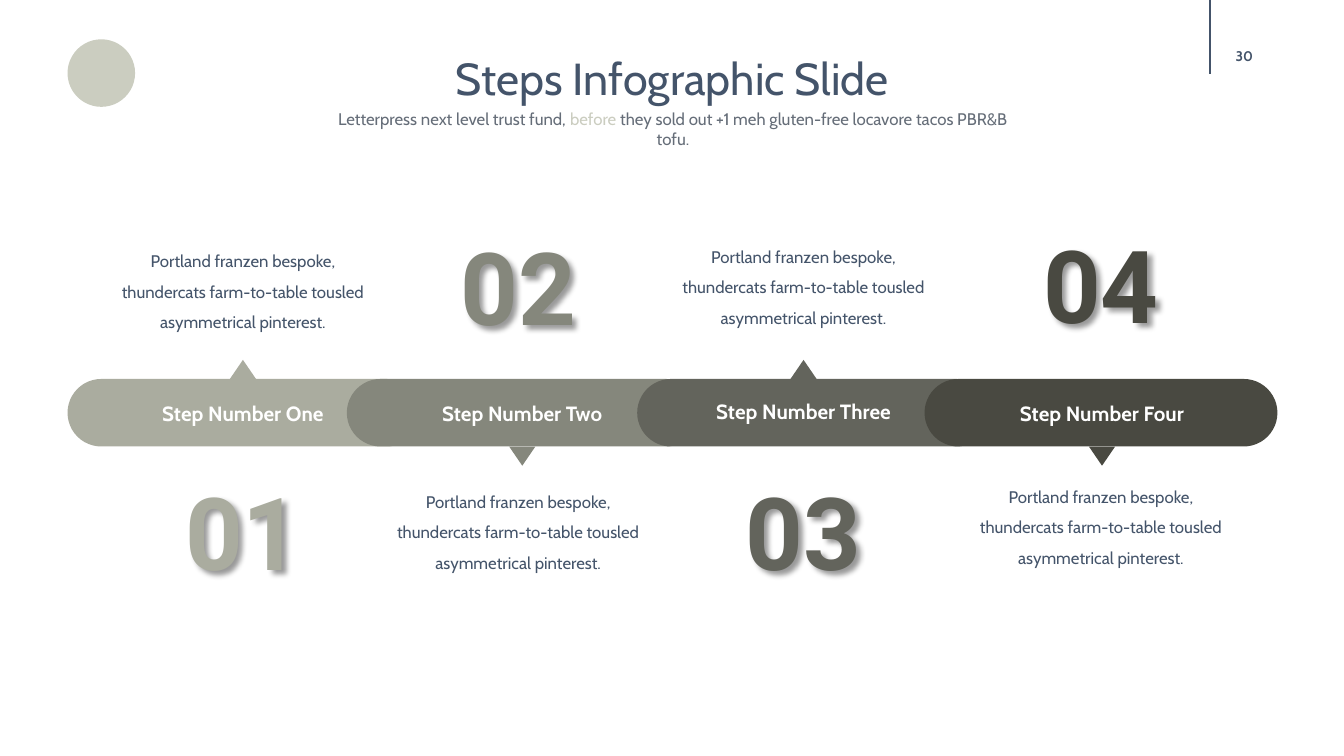
import dataclasses

import lxml.etree
import pptx
import pptx.dml.color
import pptx.enum.shapes
import pptx.enum.text
import pptx.oxml
import pptx.oxml.ns
import pptx.util

Inches = pptx.util.Inches
Pt = pptx.util.Pt
Shape = pptx.enum.shapes.MSO_SHAPE
Anchor = pptx.enum.text.MSO_ANCHOR


@dataclasses.dataclass(frozen=True)
class Theme:
    text_font: str = "Cabin"
    number_font: str = "Roboto"
    navy: str = "44546A"
    gray: str = "656D78"
    sage: str = "CBCDC0"
    white: str = "FFFFFF"
    steps: tuple = ("AAAC9F", "85877C", "63645C", "494941")
    title_size: float = 32
    caption_size: float = 12
    label_size: float = 14.7
    number_size: float = 72
    page_size: float = 10


def rgb(color):
    return pptx.dml.color.RGBColor.from_string(color)


def write(paragraph, text, *, size, color, font, bold=False, line_spacing=1.0):
    paragraph.alignment = pptx.enum.text.PP_ALIGN.CENTER
    paragraph.line_spacing = line_spacing
    paragraph.space_before = Pt(0)
    run = paragraph.add_run()
    run.text = text
    run.font.size = Pt(size)
    run.font.name = font
    run.font.bold = bold
    run.font.color.rgb = rgb(color)


class StepsSlide:
    def __init__(self, deck, theme):
        self.theme = theme
        self.slide = deck.slides.add_slide(deck.slide_layouts[0])

    def frame(self, shape, anchor=Anchor.TOP, inset=(0.13, 0.07)):
        frame = shape.text_frame
        frame.word_wrap = True
        frame.auto_size = pptx.enum.text.MSO_AUTO_SIZE.NONE
        frame.vertical_anchor = anchor
        frame.margin_left = frame.margin_right = Inches(inset[0])
        frame.margin_top = frame.margin_bottom = Inches(inset[1])
        return frame.paragraphs[0]

    def heading(self, index, left, top, width, height, runs, size):
        holder = self.slide.placeholders[index]
        holder.left, holder.top = Inches(left), Inches(top)
        holder.width, holder.height = Inches(width), Inches(height)
        paragraph = self.frame(holder, inset=(0.1, 0.05))
        for text, color in runs:
            write(paragraph, text, size=size, color=color, font=self.theme.text_font)

    def block(self, kind, left, top, width, height, color):
        block = self.slide.shapes.add_shape(
            kind, Inches(left), Inches(top), Inches(width), Inches(height))
        block.shadow.inherit = False
        block.fill.solid()
        block.fill.fore_color.rgb = rgb(color)
        block.line.fill.background()
        return block

    def text(self, left, top, width, height, text, anchor=Anchor.TOP,
             inset=(0.13, 0.07), **style):
        box = self.slide.shapes.add_textbox(
            Inches(left), Inches(top), Inches(width), Inches(height))
        write(self.frame(box, anchor, inset), text, **style)
        return box

    def rule(self, x, top, bottom, color):
        rule = self.slide.shapes.add_connector(
            pptx.enum.shapes.MSO_CONNECTOR.STRAIGHT,
            Inches(x), Inches(top), Inches(x), Inches(bottom))
        rule.line.color.rgb = rgb(color)
        rule.line.width = Pt(1)
        lxml.etree.SubElement(rule._element.spPr, pptx.oxml.ns.qn("a:effectLst"))

    def number(self, center, top, text, color):
        number = self.text(
            center - 0.925, top, 1.85, 1.35, text, Anchor.MIDDLE,
            size=self.theme.number_size, color=color,
            font=self.theme.number_font, bold=True)
        number._element.spPr.append(pptx.oxml.parse_xml(
            f'<a:effectLst {pptx.oxml.ns.nsdecls("a")}>'
            '<a:outerShdw blurRad="50800" dist="50800" dir="2700000" algn="tl">'
            '<a:srgbClr val="000000"><a:alpha val="40000"/></a:srgbClr>'
            '</a:outerShdw></a:effectLst>'))

    def step(self, bar_left, center, label, color, label_top, pointer_up):
        bar = self.block(Shape.ROUNDED_RECTANGLE, bar_left, 3.76, 3.5, 0.67, color)
        bar.adjustments[0] = 0.5
        plate = self.block(Shape.RECTANGLE, center - 1.3, label_top, 2.6, 0.4, color)
        write(self.frame(plate), label, size=self.theme.label_size,
              color=self.theme.white, font=self.theme.text_font, bold=True)
        pointer = self.block(Shape.ISOSCELES_TRIANGLE, center - 0.13,
                             3.57 if pointer_up else 4.43, 0.26, 0.19, color)
        pointer.rotation = 0 if pointer_up else 180

    def caption(self, center, top, text):
        self.text(center - 1.42, top, 2.84, 1.19, text,
                  size=self.theme.caption_size, color=self.theme.navy,
                  font=self.theme.text_font, line_spacing=1.5)


def main():
    theme = Theme()
    deck = pptx.Presentation()
    deck.slide_width, deck.slide_height = Inches(13.33), Inches(7.5)
    page = StepsSlide(deck, theme)

    page.block(Shape.OVAL, 0.67, 0.39, 0.67, 0.67, theme.sage)
    page.rule(12, 0, 0.73, theme.navy)
    page.text(11.94, 0.36, 0.8, 0.4, "30", Anchor.MIDDLE, (0, 0),
              size=theme.page_size, color=theme.navy,
              font=theme.text_font, bold=True)
    page.heading(0, 2.54, 0.45, 8.26, 0.64,
                 [("Steps Infographic Slide", theme.navy)], theme.title_size)
    page.heading(1, 3.2, 1.03, 6.95, 0.3, [
        ("Letterpress next level trust fund, ", theme.gray),
        ("before", theme.sage),
        (" they sold out +1 meh gluten-free locavore tacos PBR&B tofu.", theme.gray),
    ], theme.caption_size)

    message = ("Portland franzen bespoke, thundercats farm-to-table "
               "tousled asymmetrical pinterest.")
    steps = [
        ("One", 0.67, 2.41, 2.41, 3.91, 2.32, 4.58),
        ("Two", 3.44, 5.18, 5.14, 3.91, 4.71, 2.15),
        ("Three", 6.32, 7.97, 7.97, 3.89, 2.28, 4.58),
        ("Four", 9.17, 10.93, 10.92, 3.91, 4.66, 2.13),
    ]
    for order, (step, color) in enumerate(zip(steps, theme.steps), start=1):
        name, bar_left, center, text_center, label_top, caption_top, number_top = step
        page.step(bar_left, center, f"Step Number {name}", color, label_top,
                  pointer_up=order % 2 == 1)
        page.caption(text_center, caption_top, message)
        page.number(text_center, number_top, f"{order:02d}", color)

    deck.save("out.pptx")


if __name__ == "__main__":
    main()
